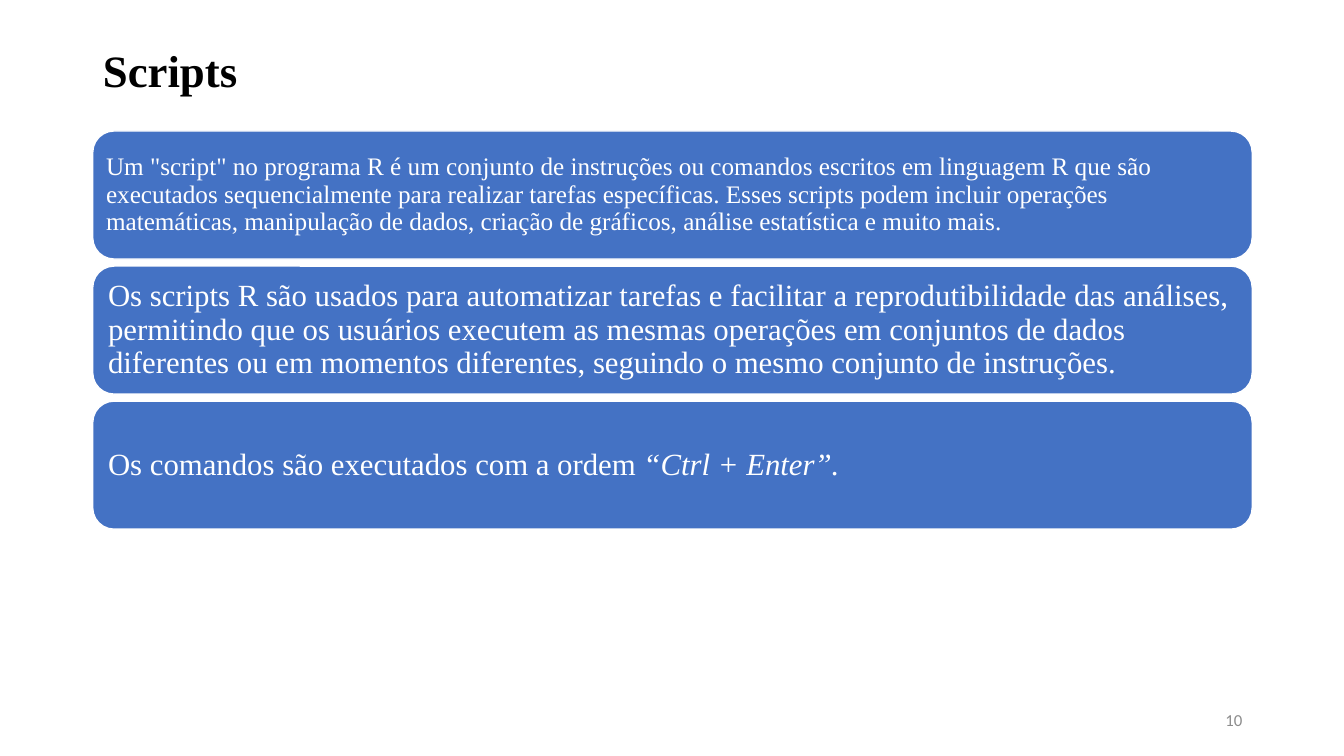
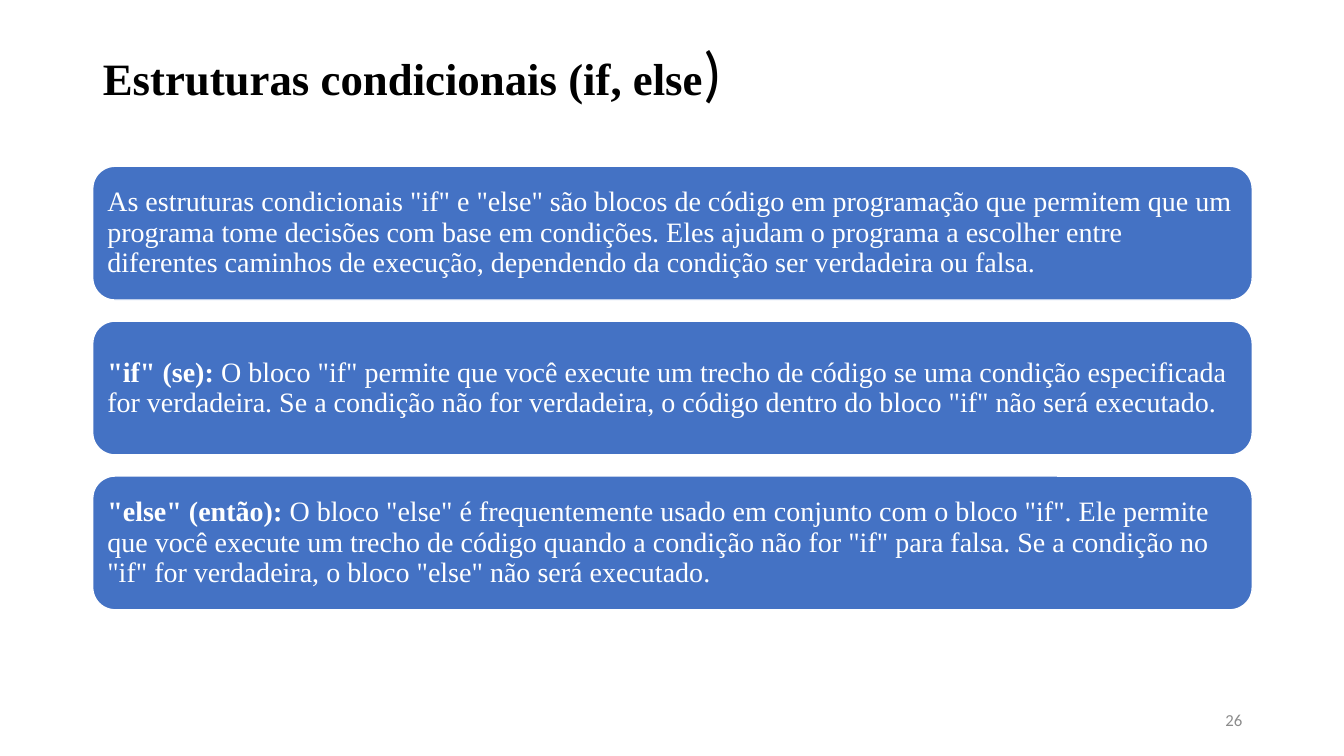
from pptx import Presentation, util as u
from pptx.dml.color import RGBColor
from pptx.enum import shapes, text

WIDE, HIGH = 13.33, 7.5
LEFT, SPAN = 0.92, 11.5
BLUE, WHITE, BLACK, GREY = "4472C4", "FFFFFF", "000000", "8C8C8C"
SERIF, SANS = "Times New Roman", "Calibri"


def tint(part, hue):
    """Give a font, fill or line one solid colour."""
    if hasattr(part, "solid"):
        part.solid()
        part.fore_color.rgb = RGBColor.from_string(hue)
    else:
        part.color.rgb = RGBColor.from_string(hue)


def place(shape, box):
    """Move a shape to a box of left, top, width and height."""
    shape.left, shape.top, shape.width, shape.height = map(u.Inches, box)


def write(shape, runs, size, hue, face=SERIF, align="LEFT", inset=None):
    """Fill a shape with one paragraph of (text, style) runs."""
    frame = shape.text_frame
    frame.word_wrap = True
    frame.auto_size = text.MSO_AUTO_SIZE.NONE
    frame.vertical_anchor = text.MSO_ANCHOR.MIDDLE
    if inset is not None:
        frame.margin_left = frame.margin_right = u.Inches(inset)
        frame.margin_top = frame.margin_bottom = u.Inches(inset)
    line = frame.paragraphs[0]
    line.alignment = getattr(text.PP_ALIGN, align)
    line.line_spacing = 0.9
    for words, style in runs:
        run = line.add_run()
        run.text = words
        look = {"size": size, "name": face, "bold": False, "italic": False, **style}
        look["size"] = u.Pt(look["size"])
        for key, value in look.items():
            setattr(run.font, key, value)
        tint(run.font, hue)


def cards(slide, box, gap, items, styles):
    """Stack equal rounded cards down a box."""
    left, top, width, height = box
    tall = (height - gap * (len(items) - 1)) / len(items)
    for row, (runs, (size, inset)) in enumerate(zip(items, styles)):
        spot = [left, top + row * (tall + gap), width, tall]
        card = slide.shapes.add_shape(
            shapes.MSO_SHAPE.ROUNDED_RECTANGLE, *map(u.Inches, spot))
        card.shadow.inherit = False
        tint(card.fill, BLUE)
        tint(card.line, WHITE)
        card.line.width = u.Pt(1)
        write(card, runs, size, WHITE, inset=inset)


def page(deck, title, top, number, band, gap, items, styles):
    """Add a slide with a title, a stack of cards and a page number."""
    slide = deck.slides.add_slide(deck.slide_layouts[5])
    head = slide.shapes.title
    place(head, (LEFT, top, SPAN, 1.45))
    write(head, title, 32, BLACK)
    cards(slide, (LEFT, band[0], SPAN, band[1]), gap, items, styles)
    foot = slide.shapes.add_textbox(0, 0, 0, 0)
    place(foot, (LEFT + SPAN - 3, 6.95, 3, 0.4))
    write(foot, [(number, {})], 12, GREY, SANS, "RIGHT")


BOLD = {"bold": True}
SCRIPTS = [
    [('Um "script" no programa R é um conjunto de instruções ou comandos '
      "escritos em linguagem R que são executados sequencialmente para "
      "realizar tarefas específicas. Esses scripts podem incluir operações "
      "matemáticas, manipulação de dados, criação de gráficos, análise "
      "estatística e muito mais.", {})],
    [("Os scripts R são usados para automatizar tarefas e facilitar a "
      "reprodutibilidade das análises, permitindo que os usuários executem "
      "as mesmas operações em conjuntos de dados diferentes ou em momentos "
      "diferentes, seguindo o mesmo conjunto de instruções.", {})],
    [("Os comandos são executados com a ordem ", {}),
     ("“Ctrl + Enter”.", {"italic": True})],
]
BRANCHES = [
    [('As estruturas condicionais "if" e "else" são blocos de código em '
      "programação que permitem que um programa tome decisões com base em "
      "condições. Eles ajudam o programa a escolher entre diferentes caminhos "
      "de execução, dependendo da condição ser verdadeira ou falsa.", {})],
    [('"if" (se):', BOLD),
     (' O bloco "if" permite que você execute um trecho de código se uma '
      "condição especificada for verdadeira. Se a condição não for "
      'verdadeira, o código dentro do bloco "if" não será executado.', {})],
    [('"else" (então):', BOLD),
     (' O bloco "else" é frequentemente usado em conjunto com o bloco "if". '
      "Ele permite que você execute um trecho de código quando a condição não "
      'for "if" para falsa. Se a condição no "if" for verdadeira, o bloco '
      '"else" não será executado.', {})],
]

deck = Presentation()
deck.slide_width, deck.slide_height = u.Inches(WIDE), u.Inches(HIGH)
page(deck, [("Scripts", BOLD)], 0, "10", (1.3, 3.95), 0.07, SCRIPTS,
     [(18, 0.07), (22, 0.09), (22, 0.09)])
page(deck, [("Estruturas condicionais (if, else", BOLD),
            (")", {"size": 44, "name": SANS})],
     0.02, "26", (1.65, 4.4), 0.21, BRANCHES, [(20, 0.08)] * 3)
deck.save("out.pptx")
